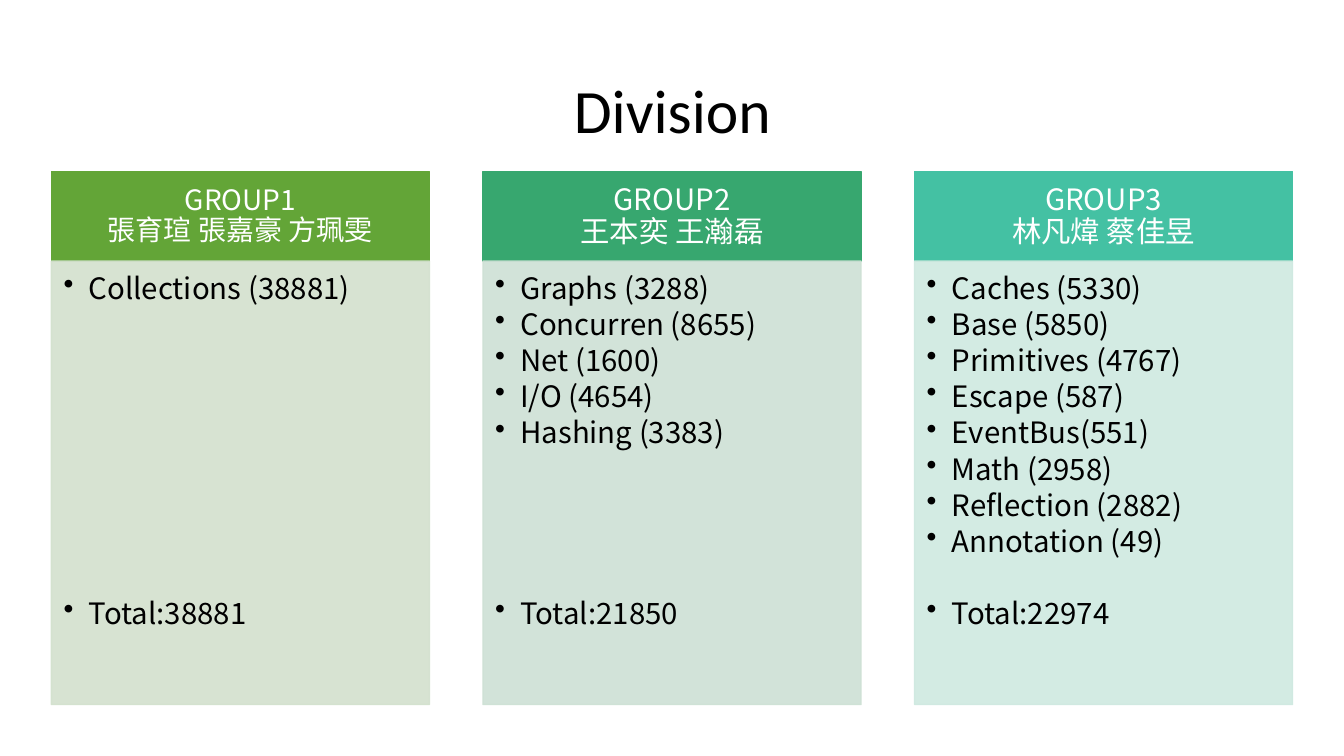
from pptx import Presentation, util as u
from pptx.dml.color import RGBColor
from pptx.enum import shapes, text
from pptx.oxml.ns import qn
from lxml import etree


class Theme:
    latin, sans = "Calibri", "Noto Sans CJK SC"
    black, white = "000000", "FFFFFF"
    title, body = 44, 21
    line, gap = 22.7, 3.15  # body line height and space after, in points
    rows = 10  # body rows, the last one holds the total


GROUPS = [  # heading, heading size, members, items, total, head colour, body colour
    ("GROUP1", 20, "張育瑄 張嘉豪 方珮雯", ["Collections (38881)"],
     "Total:38881", "63A537", "D3E1CE"),
    ("GROUP2", 21, "王本奕 王瀚磊",
     ["Graphs (3288)", "Concurren (8655)", "Net (1600)", "I/O (4654)", "Hashing (3383)"],
     "Total:21850", "37A76F", "CEE1D5"),
    ("GROUP3", 21, "林凡煒 蔡佳昱",
     ["Caches (5330)", "Base (5850)", "Primitives (4767)", "Escape (587)",
      "EventBus(551)", "Math (2958)", "Reflection (2882)", "Annotation (49)"],
     "Total:22974", "44C1A3", "CFE9E0"),
]


def px(n):
    return u.Emu(n * 9144)


def style(par, size, name, color):
    par.font.size, par.font.name = u.Pt(size), name
    par.font.color.rgb = RGBColor.from_string(color)


def inset(frame, left, top, right, bottom):
    frame.word_wrap = True
    frame.margin_left, frame.margin_top = px(left), px(top)
    frame.margin_right, frame.margin_bottom = px(right), px(bottom)


def panel(slide, box, color, alpha=100):
    rect = slide.shapes.add_shape(shapes.MSO_SHAPE.RECTANGLE, *map(px, box))
    rect.shadow.inherit = False
    rect.line.width = u.Pt(1)
    for fill in (rect.fill, rect.line.fill):
        fill.solid()
        fill.fore_color.rgb = RGBColor.from_string(color)
    if alpha < 100:
        for tone in rect._element.spPr.iter(qn("a:srgbClr")):
            etree.SubElement(tone, qn("a:alpha")).set("val", str(alpha * 1000))
    return rect.text_frame


def bullet(par):
    props = par._p.get_or_add_pPr()
    props.set("marL", str(px(25)))
    props.set("indent", str(-px(25)))
    mark = etree.Element(qn("a:buChar"))
    mark.set("char", "•")
    props.insert_element_before(mark, "a:tabLst", "a:defRPr", "a:extLst")


def title(slide, box, words):
    frame = slide.shapes.add_textbox(*map(px, box)).text_frame
    frame.word_wrap = True
    frame.vertical_anchor = text.MSO_ANCHOR.MIDDLE
    par = frame.paragraphs[0]
    par.text, par.alignment, par.line_spacing = words, text.PP_ALIGN.CENTER, 0.9
    style(par, Theme.title, Theme.latin, Theme.black)


def column(slide, box, group):
    name, size, people, items, total, dark, pale = group
    left, top, width, height = box
    cap = 89

    # Heading
    frame = panel(slide, (left, top, width, cap), dark)
    inset(frame, 16, 9, 16, 9)
    frame.vertical_anchor = text.MSO_ANCHOR.MIDDLE
    par = frame.paragraphs[0]
    par.text, par.alignment = f"{name}\v{people}", text.PP_ALIGN.CENTER
    par.line_spacing = u.Pt(size * 1.08)
    style(par, size, Theme.sans, Theme.white)

    # Items, with the total on the last row
    frame = panel(slide, (left, top + cap, width, height - cap), pale, 90)
    inset(frame, 12, 12, 16, 18)
    frame.vertical_anchor = text.MSO_ANCHOR.TOP
    for i, words in enumerate([*items, total]):
        par = frame.paragraphs[0] if i == 0 else frame.add_paragraph()
        par.text, par.alignment = words, text.PP_ALIGN.LEFT
        par.line_spacing, par.space_after = u.Pt(Theme.line), u.Pt(Theme.gap)
        style(par, Theme.body, Theme.sans, Theme.black)
        bullet(par)
    blank = Theme.rows - 1 - len(items)
    par.space_before = u.Pt(blank * (Theme.line + Theme.gap))


def main():
    deck = Presentation()
    deck.slide_width, deck.slide_height = px(1333), px(750)
    slide = deck.slides.add_slide(deck.slide_layouts[6])
    for i, group in enumerate(GROUPS):
        column(slide, (51 + 428 * i, 170, 375, 529), group)
    title(slide, (92, 40, 1150, 145), "Division")
    deck.save("out.pptx")


if __name__ == "__main__":
    main()
